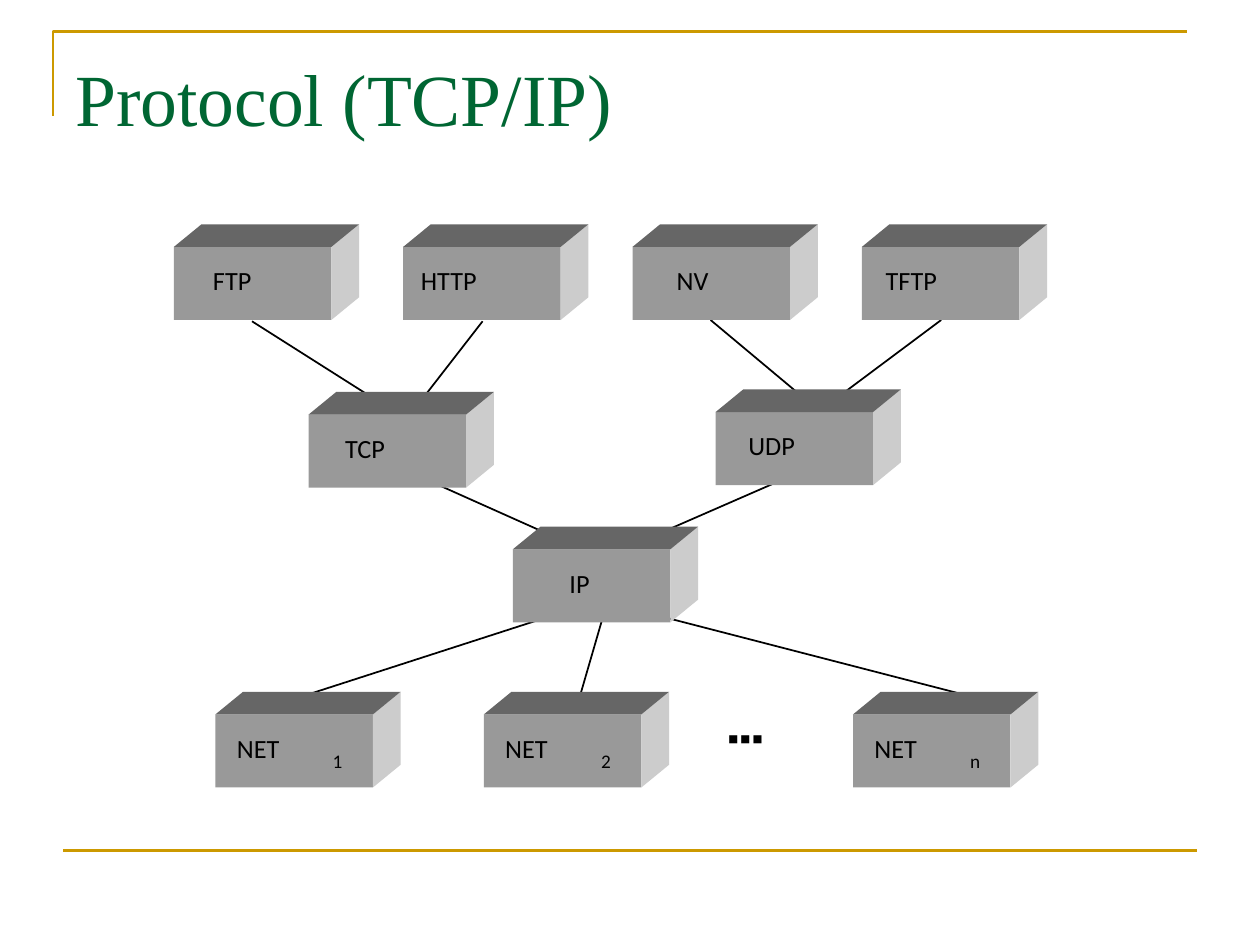
import dataclasses

import lxml.etree
import pptx
import pptx.dml.color
import pptx.enum.shapes
import pptx.enum.text
import pptx.oxml.ns
import pptx.util

EMU_PER_PX = 9144  # 100 px to the inch


@dataclasses.dataclass(frozen=True)
class Theme:
    title: str = "006633"
    ink: str = "000000"
    rule: str = "CC9900"
    front: str = "999999"
    side: str = "CCCCCC"
    top: str = "666666"
    title_font: str = "Times New Roman"
    body_font: str = "Calibri"
    title_size: int = 42
    label_size: int = 15
    index_size: int = 11
    dots_size: int = 6
    rule_width: float = 1.5
    link_width: float = 1


def px(length):
    return pptx.util.Emu(length * EMU_PER_PX)


def color(value):
    return pptx.dml.color.RGBColor.from_string(value)


def apply(target, values):
    for name, value in values.items():
        setattr(target, name, value)


class Diagram:
    FACE_WIDTH, FACE_HEIGHT = 125, 58
    DEPTH_X, DEPTH_Y = 22, 18

    def __init__(self, slide, theme):
        self.slide = slide
        self.theme = theme

    def stroke(self, shape, value, width):
        shape.line.color.rgb = color(value)
        shape.line.width = pptx.util.Pt(width)

    def line(self, start, end, value, width):
        connector = self.slide.shapes.add_connector(
            pptx.enum.shapes.MSO_CONNECTOR.STRAIGHT, *map(px, start + end))
        self.stroke(connector, value, width)
        lxml.etree.SubElement(connector._element.spPr, pptx.oxml.ns.qn("a:effectLst"))

    def link(self, start, end):
        self.line(start, end, self.theme.ink, self.theme.link_width)

    def outline(self, points, close):
        builder = self.slide.shapes.build_freeform(*points[0], scale=EMU_PER_PX)
        builder.add_line_segments(points[1:], close=close)
        shape = builder.convert_to_shape()
        shape.shadow.inherit = False
        return shape

    def paint(self, shape, value):
        shape.shadow.inherit = False
        shape.fill.solid()
        shape.fill.fore_color.rgb = color(value)
        shape.line.fill.background()

    def text(self, words, box, frame_format, font_format, value):
        frame = self.slide.shapes.add_textbox(*map(px, box)).text_frame
        apply(frame, frame_format)
        paragraph = frame.paragraphs[0]
        paragraph.alignment = pptx.enum.text.PP_ALIGN.LEFT
        run = paragraph.add_run()
        run.text = words
        apply(run.font, font_format)
        run.font.color.rgb = color(value)

    def title(self, words, box):
        self.text(words, box,
                  {"word_wrap": True, "margin_top": px(12),
                   "vertical_anchor": pptx.enum.text.MSO_ANCHOR.TOP},
                  {"name": self.theme.title_font,
                   "size": pptx.util.Pt(self.theme.title_size)},
                  self.theme.title)

    def label(self, words, box, size):
        frame_format = dict.fromkeys(
            ("margin_left", "margin_top", "margin_right", "margin_bottom"), 0)
        frame_format["word_wrap"] = False
        frame_format["auto_size"] = pptx.enum.text.MSO_AUTO_SIZE.SHAPE_TO_FIT_TEXT
        self.text(words, box, frame_format,
                  {"name": self.theme.body_font, "size": pptx.util.Pt(size)},
                  self.theme.ink)

    def block(self, words, left, top, indent, text_width):
        """Draw a three-faced block; left and top are those of its bounding box."""
        right, front_top = left + self.FACE_WIDTH, top + self.DEPTH_Y
        bottom = front_top + self.FACE_HEIGHT
        back_left, back_right = left + self.DEPTH_X, right + self.DEPTH_X
        front = self.slide.shapes.add_shape(
            pptx.enum.shapes.MSO_SHAPE.RECTANGLE,
            *map(px, (left, front_top, self.FACE_WIDTH, self.FACE_HEIGHT)))
        self.paint(front, self.theme.front)
        faces = (
            (self.theme.side, [(back_right, top), (back_right, bottom - self.DEPTH_Y),
                               (right, bottom), (right, front_top)]),
            (self.theme.top, [(left, front_top), (back_left, top),
                              (back_right, top), (right, front_top)]),
        )
        for value, points in faces:
            self.paint(self.outline(points, close=True), value)
        self.label(words, (left + indent, top + 32, text_width, 25),
                   self.theme.label_size)


def main():
    presentation = pptx.Presentation()
    presentation.slide_width, presentation.slide_height = px(1000), px(750)
    slide = presentation.slides.add_slide(presentation.slide_layouts[6])
    theme = Theme()
    diagram = Diagram(slide, theme)

    corner = diagram.outline([(42, 92), (42, 25), (942, 25)], close=False)
    corner.fill.background()
    diagram.stroke(corner, theme.rule, theme.rule_width)
    diagram.line((50, 675), (950, 675), theme.rule, theme.rule_width)
    diagram.title("Protocol (TCP/IP)", (50, 30, 900, 125))

    links = (
        ((200, 255), (293, 314)), ((383, 255), (338, 313)),  # FTP, HTTP to TCP
        ((564, 254), (631, 310)), ((747, 254), (672, 310)),  # NV, TFTP to UDP
        ((319, 372), (442, 427)), ((641, 372), (515, 427)),  # TCP, UDP to IP
        ((440, 488), (248, 550)), ((479, 488), (461, 550)),  # IP to networks
        ((760, 550), (520, 488)),
    )
    for start, end in links:
        diagram.link(start, end)

    applications = (("FTP", 31, 35), ("HTTP", 14, 51), ("NV", 35, 28), ("TFTP", 19, 47))
    for column, (name, indent, width) in enumerate(applications):
        diagram.block(name, 138 + 182 * column, 178, indent, width)

    diagram.block("TCP", 245, 311, 29, 37)
    diagram.block("UDP", 568, 309, 26, 43)
    diagram.block("IP", 407, 418, 45, 20)

    for index, left in (("1", 171), ("2", 384), ("n", 677)):
        diagram.block("NET", left, 549, 17, 39)
        diagram.label(index, (left + 93, 595, 9, 18), theme.index_size)
    diagram.label("■ ■ ■", (578, 581, 28, 10), theme.dots_size)

    presentation.save("out.pptx")


if __name__ == "__main__":
    main()
